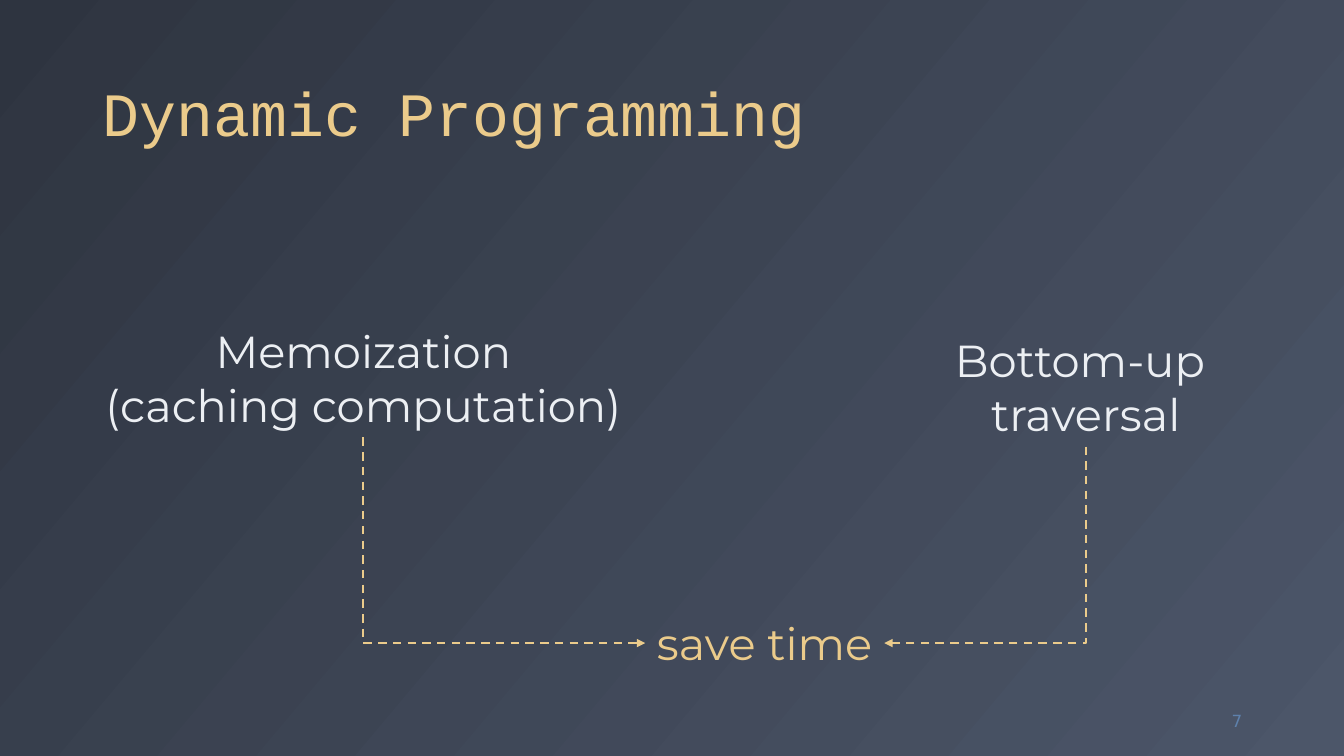
from dataclasses import dataclass
from typing import Any

from lxml import etree
from pptx import Presentation
from pptx import util as u
from pptx.dml.color import RGBColor
from pptx.enum import dml, shapes, text
from pptx.oxml import ns

NIGHT = RGBColor(0x2E, 0x34, 0x40)
SLATE = RGBColor(0x4C, 0x56, 0x69)
SNOW = RGBColor(0xEC, 0xEF, 0xF3)
GOLD = RGBColor(0xEB, 0xCB, 0x8B)
BLUE = RGBColor(0x5E, 0x81, 0xAC)


@dataclass(frozen=True)
class Label:
    lines: tuple[str, ...]
    left: float
    top: float
    width: float
    height: float
    color: RGBColor = SNOW
    font: str = "Montserrat"
    size: int = 32
    align: Any = text.PP_ALIGN.CENTER
    anchor: Any = text.MSO_ANCHOR.TOP
    wrap: bool = False
    spacing: float = 1.0


@dataclass(frozen=True)
class Arrow:
    start_x: float
    start_y: float
    end_x: float
    end_y: float


LABELS = (
    Label(("Dynamic Programming",), 0.92, 0.18, 11.5, 1.36, GOLD, "Courier New", 44,
          text.PP_ALIGN.LEFT, text.MSO_ANCHOR.BOTTOM, True, 0.9),
    Label(("7",), 11.59, 6.95, 0.83, 0.4, BLUE, "DejaVu Sans", 12,
          text.PP_ALIGN.RIGHT, text.MSO_ANCHOR.MIDDLE, True),
    Label(("Memoization", "(caching computation)"), 0.92, 3.16, 5.37, 1.18),
    Label(("Bottom-up ", "traversal"), 9.35, 3.25, 2.84, 1.18),
    Label(("save time",), 6.4, 6.06, 2.37, 0.64, GOLD),
)
ARROWS = (Arrow(3.6, 4.34, 6.4, 6.38), Arrow(10.77, 4.43, 8.77, 6.38))


def apply_format(target: Any, values: dict[str, Any]) -> None:
    for name, value in values.items():
        setattr(target, name, value)


def paint_background(slide: Any) -> None:
    fill = slide.background.fill
    fill.gradient()
    fill.gradient_angle = 320
    for stop, color, position in zip(fill.gradient_stops, (NIGHT, SLATE), (0, 1)):
        stop.color.rgb = color
        stop.position = position


def add_label(slide: Any, label: Label) -> None:
    box = (label.left, label.top, label.width, label.height)
    shape = slide.shapes.add_textbox(*map(u.Inches, box))
    frame = shape.text_frame
    fit = text.MSO_AUTO_SIZE.NONE if label.wrap else text.MSO_AUTO_SIZE.SHAPE_TO_FIT_TEXT
    apply_format(frame, {
        "word_wrap": label.wrap,
        "auto_size": fit,
        "vertical_anchor": label.anchor,
        "text": "\n".join(label.lines),
    })
    for paragraph in frame.paragraphs:
        apply_format(paragraph, {"alignment": label.align, "line_spacing": label.spacing})
        apply_format(paragraph.font, {"name": label.font, "size": u.Pt(label.size)})
        paragraph.font.color.rgb = label.color


def add_bent_arrow(slide: Any, arrow: Arrow) -> None:
    center_x = (arrow.start_x + arrow.end_x) / 2
    center_y = (arrow.start_y + arrow.end_y) / 2
    half_drop = (arrow.end_y - arrow.start_y) / 2
    half_span = abs(arrow.end_x - arrow.start_x) / 2
    points_right = arrow.end_x > arrow.start_x
    reach = half_drop if points_right else -half_drop
    connector = slide.shapes.add_connector(
        shapes.MSO_CONNECTOR.ELBOW,
        u.Inches(center_x + reach), u.Inches(center_y - half_span),
        u.Inches(center_x - reach), u.Inches(center_y + half_span),
    )
    line = connector.line
    line.fill.solid()
    line.fill.fore_color.rgb = GOLD
    apply_format(line, {"width": u.Pt(1.5), "dash_style": dml.MSO_LINE.DASH})

    properties = connector._element.spPr
    rotation = 270 if points_right else 90
    properties.find(ns.qn("a:xfrm")).set("rot", str(rotation * 60000))
    properties.find(ns.qn("a:prstGeom")).set("prst", "bentConnector2")
    outline = properties.find(ns.qn("a:ln"))
    etree.SubElement(outline, ns.qn("a:tailEnd"), type="triangle")
    etree.SubElement(properties, ns.qn("a:effectLst"))


def main() -> None:
    presentation = Presentation()
    apply_format(presentation, {"slide_width": u.Inches(13.33), "slide_height": u.Inches(7.5)})
    slide = presentation.slides.add_slide(presentation.slide_layouts[6])
    paint_background(slide)
    for label in LABELS:
        add_label(slide, label)
    for arrow in ARROWS:
        add_bent_arrow(slide, arrow)
    presentation.save("out.pptx")


if __name__ == "__main__":
    main()
